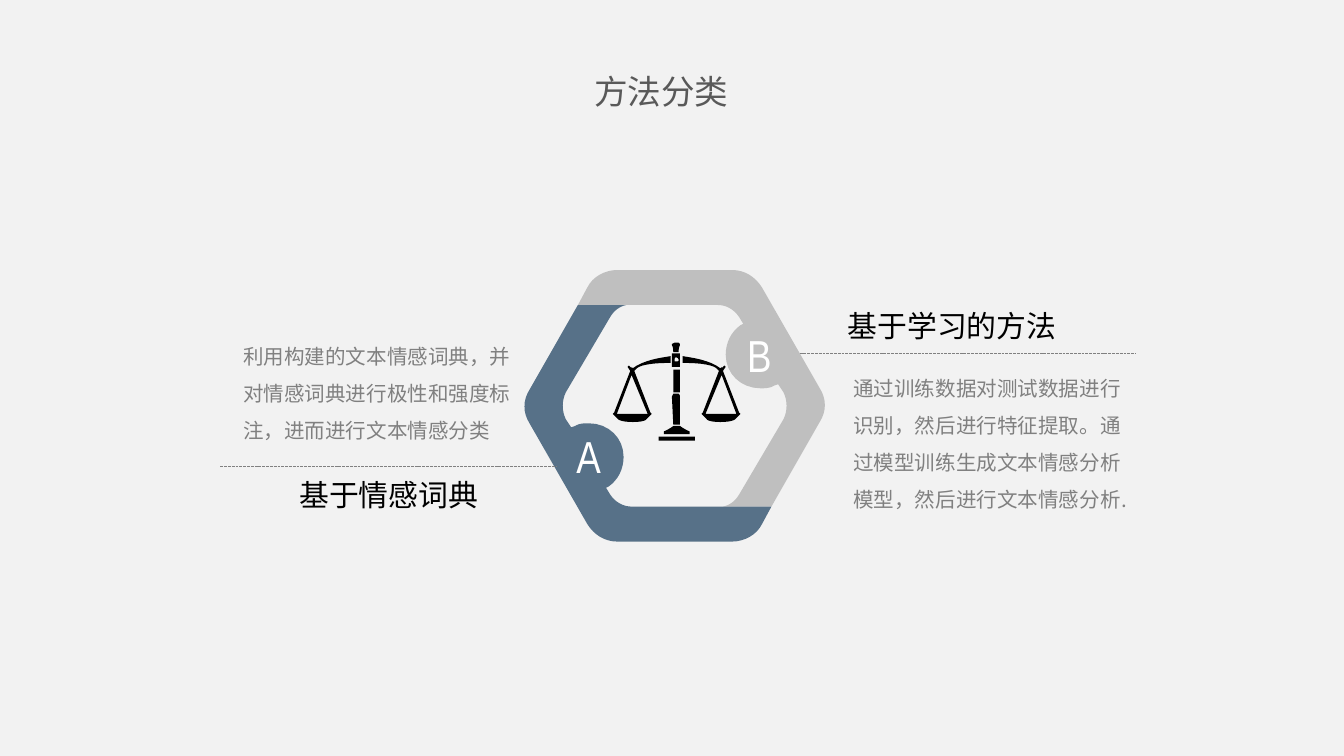
from lxml import etree
from pptx import Presentation
from pptx.dml.color import RGBColor
from pptx.enum.dml import MSO_LINE_DASH_STYLE as Dash
from pptx.enum.shapes import MSO_CONNECTOR as Connector, MSO_SHAPE as Shape
from pptx.enum.text import MSO_ANCHOR as Anchor, MSO_AUTO_SIZE as AutoSize, PP_ALIGN as Align
from pptx.oxml.ns import qn
from pptx.util import Inches, Pt

PAPER = RGBColor(0xF2, 0xF2, 0xF2)
SILVER = RGBColor(0xBF, 0xBF, 0xBF)
BLUE = RGBColor(0x57, 0x71, 0x88)
BLACK = RGBColor(0, 0, 0)
WHITE = RGBColor(255, 255, 255)
GREY = RGBColor(0x80, 0x80, 0x80)
DARK = RGBColor(0x59, 0x59, 0x59)
CJK = "Noto Sans CJK SC"

TITLE = ("方法分类", (3.8, 0.48, 2.24, 0.4))
LETTERS = [("B", (5.21, 2.39, 0.88, 0.5)), ("A", (3.94, 3.14, 0.88, 0.5))]
HEADINGS = [
    ("基于情感词典", (2.13, 3.5, 1.55, 0.37)),
    ("基于学习的方法", (6.21, 2.24, 1.77, 0.37)),
]
BODIES = [
    ("通过训练数据对测试数据进行识别，然后进行特征提取。通过模型训练生成文本情感分析模型，然后进行文本情感分析.",
     (6.25, 2.66, 2.21, 1.21)),
    ("利用构建的文本情感词典，并对情感词典进行极性和强度标注，进而进行文本情感分类",
     (1.71, 2.42, 2.21, 0.93)),
]
RULES = [(5.95, 2.63), (1.64, 3.47)]
RULE_LENGTH = 2.5

RING_CENTER = (5.02, 3.02)
HALF_RING = [
    (4.59, 2.01), (5.45, 2.01), (5.54, 2.01, 5.62, 2.06, 5.67, 2.14), (6.1, 2.89),
    (6.15, 2.97, 6.15, 3.06, 6.1, 3.14), (5.74, 3.77), (5.38, 3.77),
    (5.43, 3.76, 5.47, 3.73, 5.5, 3.68), (5.83, 3.12),
    (5.86, 3.06, 5.86, 2.98, 5.83, 2.92), (5.79, 2.86), (5.76, 2.87),
    (5.73, 2.89, 5.69, 2.89, 5.66, 2.89), (5.51, 2.89, 5.4, 2.78, 5.4, 2.64),
    (5.4, 2.55, 5.44, 2.47, 5.51, 2.42), (5.53, 2.41), (5.5, 2.36),
    (5.46, 2.3, 5.4, 2.27, 5.34, 2.27), (4.3, 2.27), (4.37, 2.14),
    (4.41, 2.06, 4.5, 2.01, 4.59, 2.01),
]

LEFT_PAN_EDGE, RIGHT_PAN_EDGE = 4.56, 5.51
PAN = [
    [(4.85, 3.08), (4.84, 3.07), (4.72, 2.76), (4.74, 2.74),
     (4.74, 2.74, 4.77, 2.7, 4.99, 2.7), (4.99, 2.65),
     (4.94, 2.66, 4.83, 2.67, 4.74, 2.72), (4.71, 2.74), (4.7, 2.73), (4.7, 2.74),
     (4.68, 2.72), (4.67, 2.73), (4.69, 2.76), (4.57, 3.07), (4.56, 3.08),
     (4.6, 3.12), (4.6, 3.12, 4.62, 3.14, 4.71, 3.14),
     (4.8, 3.14, 4.81, 3.12, 4.81, 3.12)],
    [(4.59, 3.08), (4.7, 2.79), (4.82, 3.08)],
]
POST = [
    [[(5.06, 2.63), (5, 2.63), (5, 2.73), (5.06, 2.73)],
     [(5.03, 2.69), (5.02, 2.69, 5.02, 2.69, 5.02, 2.68),
      (5.02, 2.67, 5.02, 2.66, 5.03, 2.66), (5.04, 2.66, 5.05, 2.67, 5.05, 2.68),
      (5.05, 2.69, 5.04, 2.69, 5.03, 2.69)]],
    [[(4.94, 3.23), (5.13, 3.23), (5.13, 3.21), (5.13, 3.21, 5.1, 3.2, 5.06, 3.17),
      (5.01, 3.17), (4.97, 3.2, 4.94, 3.21, 4.94, 3.21)]],
    [[(5, 2.95), (5, 2.96), (5.01, 3.16), (5.06, 3.16), (5.06, 2.95),
      (5.06, 2.95, 5.06, 2.94, 5.05, 2.93), (5.01, 2.93)]],
    [[(5.01, 2.62), (5.05, 2.62), (5.05, 2.58, 5.06, 2.57, 5.06, 2.57), (5.06, 2.56),
      (5.05, 2.55), (5.02, 2.55), (5, 2.56), (5, 2.57), (5, 2.57, 5.01, 2.58, 5.01, 2.62)]],
]
BARS = [(5.01, 2.75, 0.05, 0.17), (4.9, 3.25, 0.27, 0.03)]
CURVE_STEPS = 8


def flatten(contour):
    points = [contour[0]]
    for step in contour[1:]:
        if len(step) == 2:
            points.append(step)
            continue
        anchors = [points[-1], step[:2], step[2:4], step[4:]]
        for count in range(1, CURVE_STEPS + 1):
            t = count / CURVE_STEPS
            weights = ((1 - t) ** 3, 3 * t * (1 - t) ** 2, 3 * t * t * (1 - t), t ** 3)
            points.append(tuple(sum(w * a[axis] for w, a in zip(weights, anchors))
                                for axis in (0, 1)))
    return points


def paint(shape, color):
    shape.shadow.inherit = False
    shape.fill.solid()
    shape.fill.fore_color.rgb = color
    shape.line.fill.background()


def add_outline(shapes, contours, color, move=lambda x, y: (x, y)):
    builder = None
    for contour in contours:
        points = [tuple(Inches(value) for value in move(*point)) for point in flatten(contour)]
        if builder is None:
            builder = shapes.build_freeform(*points[0], scale=1.0)
        else:
            builder.move_to(*points[0])
        builder.add_line_segments(points[1:], close=True)
    paint(builder.convert_to_shape(), color)


def format_text(box, text, size, font, color, align=Align.LEFT, spacing=None, wrap=True):
    frame = box.text_frame
    frame.text = text
    frame.word_wrap = wrap
    frame.auto_size = AutoSize.NONE
    frame.vertical_anchor = Anchor.TOP
    para = frame.paragraphs[0]
    para.alignment = align
    para.line_spacing = spacing
    span = para.runs[0]
    span.font.size = Pt(size)
    span.font.name = font
    span.font.color.rgb = color
    etree.SubElement(span.font._element, qn("a:ea"), typeface=CJK)


def add_text(page, text, place, *style, **options):
    box = page.shapes.add_textbox(*map(Inches, place))
    format_text(box, text, *style, **options)


def turn(x, y):
    return 2 * RING_CENTER[0] - x, 2 * RING_CENTER[1] - y


def mirror(x, y):
    return LEFT_PAN_EDGE + RIGHT_PAN_EDGE - x, y


deck = Presentation()
deck.slide_width = Inches(10)
deck.slide_height = deck.slide_width * 9 // 16
page = deck.slides.add_slide(deck.slide_layouts[5])
page.background.fill.solid()
page.background.fill.fore_color.rgb = PAPER

title = page.shapes.title
title.left, title.top, title.width, title.height = map(Inches, TITLE[1])
format_text(title, TITLE[0], 18, "Arial", DARK, align=Align.CENTER)

add_outline(page.shapes, [HALF_RING], SILVER)
add_outline(page.shapes, [HALF_RING], BLUE, turn)
for letter, place in LETTERS:
    add_text(page, letter, place, 24, "Arial Narrow", WHITE, align=Align.CENTER)

scales = page.shapes.add_group_shape().shapes
for part in POST:
    add_outline(scales, part, BLACK)
for place in BARS:
    paint(scales.add_shape(Shape.RECTANGLE, *map(Inches, place)), BLACK)
add_outline(scales, PAN, BLACK)
add_outline(scales, PAN, BLACK, mirror)

for left, top in RULES:
    rule = page.shapes.add_connector(
        Connector.STRAIGHT, Inches(left), Inches(top), Inches(left + RULE_LENGTH), Inches(top))
    rule.line.color.rgb = GREY
    rule.line.width = Pt(0.5)
    rule.line.dash_style = Dash.SQUARE_DOT
    etree.SubElement(rule._element.spPr, qn("a:effectLst"))

for text, place in BODIES:
    add_text(page, text, place, 11, CJK, GREY, spacing=1.5)
for text, place in HEADINGS:
    add_text(page, text, place, 16, "Arial", BLACK, wrap=False)

deck.save("out.pptx")
